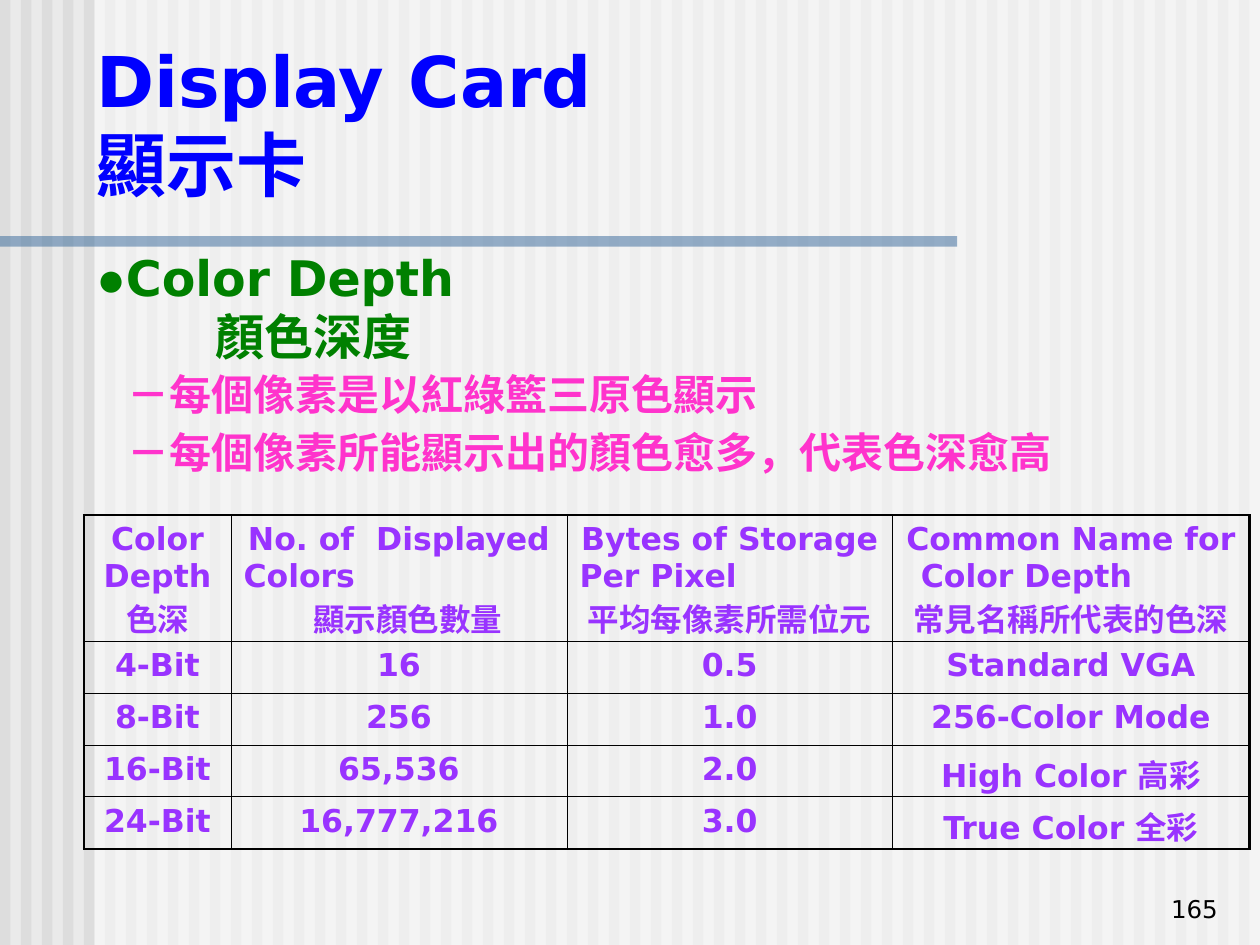
from dataclasses import dataclass

import lxml.etree
import pptx
import pptx.dml.color
import pptx.enum.shapes
import pptx.enum.text
import pptx.oxml.ns
import pptx.util

Pt = pptx.util.Pt
qn = pptx.oxml.ns.qn
ALIGN = pptx.enum.text.PP_ALIGN
ANCHOR = pptx.enum.text.MSO_ANCHOR

COLORS = {
    "background": "EAEAEA", "stripe": "DDDDDD", "panel": "FFFFFF", "rule": "336699",
    "title": "0000FF", "topic": "008000", "point": "FF33CC", "table": "9933FF", "black": "000000",
}
SLIDE_W, SLIDE_H = 720, 540
STRIPE_W, STRIPE_PITCH = 6, 12
THICK, THIN = 1.5, 0.45
COL_WIDTHS = [84, 192, 186, 204]
ROW_HEIGHTS = [72, 29.6, 29.6, 29.6, 30]


@dataclass
class Box:
    left: float
    top: float
    width: float
    height: float

    def lengths(self) -> list:
        return [Pt(v) for v in (self.left, self.top, self.width, self.height)]


@dataclass
class Line:
    text: str
    align: ALIGN = ALIGN.CENTER
    indent: float = 0


HEADERS = [
    [Line("Color"), Line("Depth"), Line("色深")],
    [Line("No. of  Displayed"), Line("Colors", ALIGN.LEFT), Line("顯示顏色數量", indent=10)],
    [Line("Bytes of Storage"), Line("Per Pixel", ALIGN.LEFT), Line("平均每像素所需位元")],
    [Line("Common Name for"), Line("Color Depth", ALIGN.LEFT, 9), Line("常見名稱所代表的色深")],
]
DEPTHS = [
    ("4-Bit", "16", "0.5", "Standard VGA"),
    ("8-Bit", "256", "1.0", "256-Color Mode"),
    ("16-Bit", "65,536", "2.0", "High Color 高彩"),
    ("24-Bit", "16,777,216", "3.0", "True Color 全彩"),
]


def rgb(name: str) -> pptx.dml.color.RGBColor:
    return pptx.dml.color.RGBColor.from_string(COLORS[name])


def add_text(tf, text: str, *, size: float, color: str, bold: bool = True,
             align: ALIGN = ALIGN.LEFT, indent: float = 0, hanging: float = 0, marker: str = "") -> None:
    p = tf.paragraphs[0] if not tf.text else tf.add_paragraph()
    p.alignment = align
    pPr = p._p.get_or_add_pPr()
    pPr.set("marL", str(Pt(indent)))
    pPr.set("indent", str(Pt(-hanging)))
    for content, font in ((marker, "Arial"), (text, "DejaVu Sans")):
        if content:
            r = p.add_run()
            r.text = content
            r.font.name, r.font.size, r.font.bold = font, Pt(size), bold
            r.font.color.rgb = rgb(color)


def add_box(s, box: Box, anchor: ANCHOR = ANCHOR.TOP):
    tf = s.shapes.add_textbox(*box.lengths()).text_frame
    tf.word_wrap = True
    tf.vertical_anchor = anchor
    return tf


def add_rect(s, box: Box, color: str, opacity: int = 100) -> None:
    sp = s.shapes.add_shape(pptx.enum.shapes.MSO_SHAPE.RECTANGLE, *box.lengths())
    sp.shadow.inherit = False
    sp.line.fill.background()
    sp.fill.solid()
    sp.fill.fore_color.rgb = rgb(color)
    if opacity < 100:
        clr = sp._element.spPr.find(qn("a:solidFill"))[0]
        lxml.etree.SubElement(clr, qn("a:alpha")).set("val", str(opacity * 1000))


def set_borders(cell, widths: dict[str, float]) -> None:
    tcPr = cell._tc.get_or_add_tcPr()
    for side, width in widths.items():
        ln = lxml.etree.SubElement(tcPr, qn(f"a:ln{side}"), w=str(Pt(width)))
        fill = lxml.etree.SubElement(ln, qn("a:solidFill"))
        lxml.etree.SubElement(fill, qn("a:srgbClr"), val=COLORS["black"])


def add_depth_table(s, left: float, top: float) -> None:
    rows = [HEADERS] + [[[Line(text)] for text in depth] for depth in DEPTHS]
    box = Box(left, top, sum(COL_WIDTHS), sum(ROW_HEIGHTS))
    table = s.shapes.add_table(len(rows), len(COL_WIDTHS), *box.lengths()).table
    table.first_row = table.horz_banding = False
    for column, width in zip(table.columns, COL_WIDTHS):
        column.width = Pt(width)
    for row, height in zip(table.rows, ROW_HEIGHTS):
        row.height = Pt(height)
    last_row, last_col = len(rows) - 1, len(COL_WIDTHS) - 1
    for i, row in enumerate(rows):
        for j, lines in enumerate(row):
            cell = table.cell(i, j)
            edges = {"L": j == 0, "R": j == last_col, "T": i == 0, "B": i == last_row}
            set_borders(cell, {side: THICK if outer else THIN for side, outer in edges.items()})
            cell.fill.background()
            for line in lines:
                add_text(cell.text_frame, line.text, size=18, color="table",
                         align=line.align, indent=line.indent)


def main() -> None:
    prs = pptx.Presentation()
    prs.slide_width, prs.slide_height = Pt(SLIDE_W), Pt(SLIDE_H)
    s = prs.slides.add_slide(prs.slide_layouts[6])
    s.background.fill.solid()
    s.background.fill.fore_color.rgb = rgb("background")

    for x in range(0, SLIDE_W, STRIPE_PITCH):
        add_rect(s, Box(x, 0, STRIPE_W, SLIDE_H), "stripe")
    add_rect(s, Box(54, 0, SLIDE_W - 54, SLIDE_H), "panel", opacity=50)
    add_rect(s, Box(0, 135, 547, 6), "rule", opacity=50)

    tf = add_box(s, Box(48, 18, 630, 102))
    for text in ("Display Card", "顯示卡"):
        add_text(tf, text, size=40, color="title")

    tf = add_box(s, Box(48, 138, 246, 75))
    add_text(tf, "Color Depth", size=28, color="topic", indent=22.5, hanging=22.5, marker="●")
    add_text(tf, "顏色深度", size=28, color="topic", indent=68)

    points = ("－每個像素是以紅綠籃三原色顯示", "－每個像素所能顯示出的顏色愈多，代表色深愈高")
    for i, text in enumerate(points):
        add_text(add_box(s, Box(66, 207 + 33 * i, 630, 36)), text, size=24, color="point")

    add_depth_table(s, 48, 294.5)

    tf = add_box(s, Box(553, 495, 150, 36), ANCHOR.BOTTOM)
    add_text(tf, "165", size=14, color="black", bold=False, align=ALIGN.RIGHT)
    prs.save("out.pptx")


if __name__ == "__main__":
    main()
